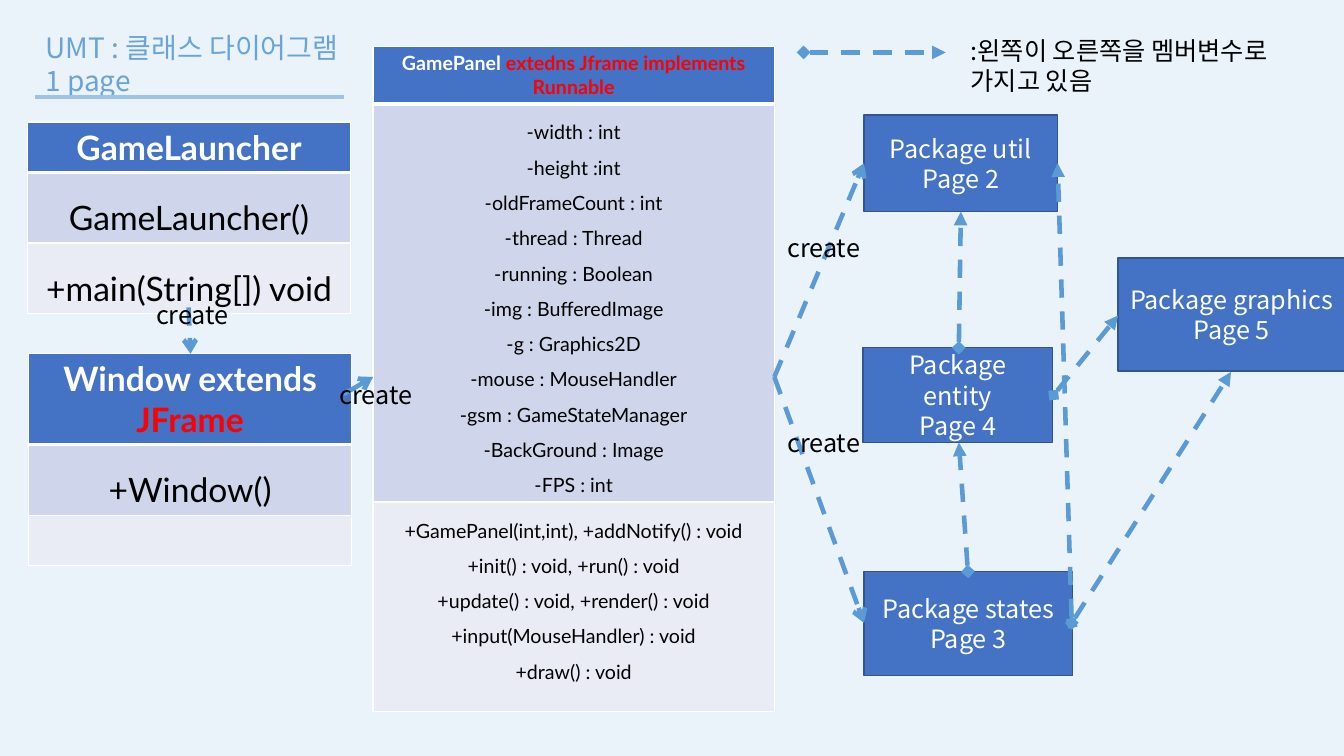
from lxml.etree import SubElement
from pptx import Presentation
from pptx.dml.color import RGBColor
from pptx.enum.dml import MSO_LINE
from pptx.enum.shapes import MSO_CONNECTOR, MSO_SHAPE
from pptx.enum.text import MSO_ANCHOR, MSO_AUTO_SIZE, PP_ALIGN
from pptx.oxml import parse_xml
from pptx.oxml.ns import nsdecls, qn
from pptx.util import Inches, Pt

KOREAN, LATIN = "Noto Sans CJK KR", "Lato"
BLUE, ARROW, WHITE, BLACK, RED = "4472C4", "5B9BD5", "FFFFFF", "000000", "FF0000"

FIELDS = """-width : int
-height :int
-oldFrameCount : int
-thread : Thread
-running : Boolean
-img : BufferedImage
-g : Graphics2D
-mouse : MouseHandler
-gsm : GameStateManager
-BackGround : Image
-FPS : int"""
METHODS = """+GamePanel(int,int), +addNotify() : void
+init() : void, +run() : void
+update() : void, +render() : void
+input(MouseHandler) : void
+draw() : void"""

# left, top, width, row heights, text size, white and red header text, body cells
CLASSES = [
    (0.27, 1.21, 3.21, (0.5, 0.7, 0.7), 24, ("GameLauncher", ""),
     ("GameLauncher()", "+main(String[]) void")),
    (0.28, 3.51, 3.21, (0.9, 0.7, 0.5), 24, ("Window extends ", "JFrame"),
     ("+Window()", "")),
    (3.7, 0.46, 3.98, (0.57, 3.95, 2.08), 14,
     ("GamePanel ", "extedns Jframe implements Runnable"), (FIELDS, METHODS)),
]
PACKAGES = [
    ("util", 2, 8.57, 1.14, 1.92, 0.96),
    ("states", 3, 8.57, 5.67, 2.07, 1.03),
    ("entity", 4, 8.56, 3.45, 1.88, 0.94),
    ("graphics", 5, 11.09, 2.56, 2.25, 1.12),
]
CREATES = [
    (1.87, 3.05, 1.89, 3.51),
    (3.41, 3.91, 3.7, 3.74),
    (7.68, 3.74, 8.57, 1.62),
    (7.68, 3.74, 8.57, 6.18),
]
CREATE_LABELS = [(7.71, 4.19), (1.45, 2.92), (3.27, 3.71), (7.71, 2.26)]
# from the owner to the member it holds; the first is the legend
MEMBERS = [
    (7.97, 0.52, 9.38, 0.52),
    (9.6, 5.67, 9.51, 4.39),
    (10.45, 3.92, 11.09, 3.13),
    (9.51, 3.45, 9.53, 2.1),
    (10.63, 6.18, 12.21, 3.69),
    (10.63, 6.18, 10.49, 1.62),
]


def rgb(color):
    return RGBColor.from_string(color)


def format_span(span, size, color, font=KOREAN, bold=False):
    span.font.size = Pt(size)
    span.font.name = font
    span.font.bold = bold
    span.font.color.rgb = rgb(color)
    if font == KOREAN:
        SubElement(span.font._element, qn("a:ea"), typeface=font)


def format_text(frame, size, color, align=PP_ALIGN.LEFT, font=KOREAN, spacing=1.0):
    for para in frame.paragraphs:
        para.alignment = align
        para.line_spacing = spacing
        para.space_before = Pt(0)
        for span in para.runs:
            format_span(span, size, color, font)


def add_label(page, text, left, top, width, height, wrap=True):
    box = page.shapes.add_textbox(
        Inches(left), Inches(top), Inches(width), Inches(height))
    box.text_frame.word_wrap = wrap
    box.text_frame.text = text
    format_text(box.text_frame, 18, BLACK)


def set_title(page, text):
    title = page.shapes.title
    title.left, title.top = Inches(0.35), Inches(0.25)
    title.width, title.height = Inches(3.33), Inches(0.77)
    frame = title.text_frame
    frame.text = text
    frame.auto_size = MSO_AUTO_SIZE.NONE
    frame.vertical_anchor = MSO_ANCHOR.TOP
    format_text(frame, 20, "69A4D9")


def add_line(page, ends, color=ARROW, width=3.25, head=None, tail=None):
    """Draw a line, dashed if it has an arrowhead at its end."""
    line = page.shapes.add_connector(
        MSO_CONNECTOR.STRAIGHT, *[Inches(value) for value in ends])
    line.line.color.rgb = rgb(color)
    line.line.width = Pt(width)
    if tail:
        line.line.dash_style = MSO_LINE.DASH
    outline = line.line._get_or_add_ln()
    for tag, kind in (("a:headEnd", head), ("a:tailEnd", tail)):
        if kind:
            SubElement(outline, qn(tag), type=kind)
    SubElement(line._element.spPr, qn("a:effectLst"))


def add_package(page, name, number, left, top, width, height):
    box = page.shapes.add_shape(
        MSO_SHAPE.RECTANGLE, Inches(left), Inches(top), Inches(width), Inches(height))
    box.shadow.inherit = False
    box.fill.solid()
    box.fill.fore_color.rgb = rgb(BLUE)
    box.line.color.rgb = rgb("325491")
    box.line.width = Pt(1)
    box.text_frame.word_wrap = True
    box.text_frame.vertical_anchor = MSO_ANCHOR.MIDDLE
    box.text_frame.text = f"Package {name}\nPage {number}"
    format_text(box.text_frame, 18, WHITE, PP_ALIGN.CENTER)


def paint_cell(cell, fill, top=1, bottom=1):
    cell.fill.solid()
    cell.fill.fore_color.rgb = rgb(fill)
    widths = {"lnL": 1, "lnR": 1, "lnT": top, "lnB": bottom}
    for index, (tag, width) in enumerate(widths.items()):
        border = parse_xml(
            f'<a:{tag} {nsdecls("a")} w="{Pt(width)}"><a:solidFill>'
            f'<a:srgbClr val="{WHITE}"/></a:solidFill></a:{tag}>')
        cell._tc.get_or_add_tcPr().insert(index, border)


def add_class(page, left, top, width, heights, size, header, body):
    table = page.shapes.add_table(
        len(heights), 1, Inches(left), Inches(top),
        Inches(width), Inches(sum(heights))).table
    for row, height in zip(table.rows, heights):
        row.height = Inches(height)
    title = table.cell(0, 0)
    paint_cell(title, BLUE, bottom=3)
    para = title.text_frame.paragraphs[0]
    para.alignment = PP_ALIGN.CENTER
    for text, color in zip(header, (WHITE, RED)):
        if text:
            span = para.add_run()
            span.text = text
            format_span(span, size, color, LATIN, bold=True)
    for index, (text, fill) in enumerate(zip(body, ("CFD5EA", "E9EBF5")), 1):
        cell = table.cell(index, 0)
        paint_cell(cell, fill, top=3 if index == 1 else 1)
        if text:
            cell.text_frame.text = text
            format_text(cell.text_frame, size, BLACK, PP_ALIGN.CENTER, LATIN, 1.5)


def main():
    deck = Presentation()
    deck.slide_width, deck.slide_height = Inches(13.33), Inches(7.5)
    page = deck.slides.add_slide(deck.slide_layouts[5])
    page.background.fill.solid()
    page.background.fill.fore_color.rgb = rgb("EAF2FA")

    set_title(page, "UMT : 클래스 다이어그램\n1 page")
    add_line(page, (0.35, 0.96, 3.41, 0.96), "9DC3E6", 3)
    for diagram in CLASSES:
        add_class(page, *diagram)
    for package in PACKAGES:
        add_package(page, *package)
    for ends in CREATES:
        add_line(page, ends, tail="arrow")
    for left, top in CREATE_LABELS:
        add_label(page, "create", left, top, 1.4, 0.4)
    for ends in MEMBERS:
        add_line(page, ends, head="diamond", tail="triangle")
    add_label(page, ":왼쪽이 오른쪽을 멤버변수로\n가지고 있음", 9.53, 0.3, 3.47, 0.71, wrap=False)
    deck.save("out.pptx")


if __name__ == "__main__":
    main()
